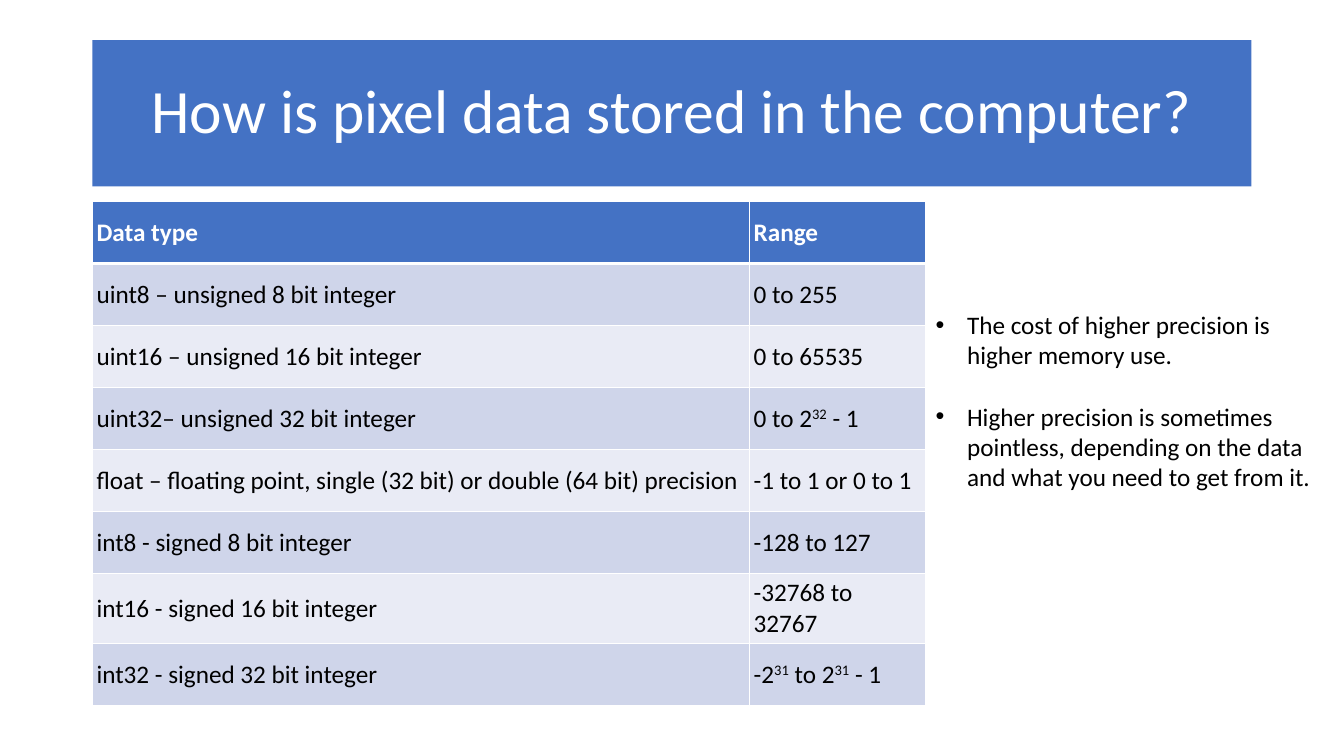
from lxml import etree
from pptx import Presentation
from pptx.dml.color import RGBColor
from pptx.enum import shapes, text
from pptx.oxml import ns
from pptx.util import Pt

TITLE = "How is pixel data stored in the computer?"
DATA_TYPES = [
    ("Data type", "Range"),
    ("uint8 – unsigned 8 bit integer", "0 to 255"),
    ("uint16 – unsigned 16 bit integer", "0 to 65535"),
    ("uint32– unsigned 32 bit integer", "0 to 2^32^ - 1"),
    ("float – floating point, single (32 bit) or double (64 bit) precision", "-1 to 1 or 0 to 1"),
    ("int8 - signed 8 bit integer", "-128 to 127"),
    ("int16 - signed 16 bit integer", "-32768 to 32767"),
    ("int32 - signed 32 bit integer", "-2^31^ to 2^31^ - 1"),
]
REMARKS = [
    "The cost of higher precision is higher memory use.",
    "Higher precision is sometimes pointless, depending on the data and what you need to get from it.",
]

BLUE = RGBColor(0x44, 0x72, 0xC4)
BAND_DARK = RGBColor(0xCF, 0xD5, 0xEA)
BAND_LIGHT = RGBColor(0xE9, 0xEB, 0xF5)
WHITE = RGBColor(0xFF, 0xFF, 0xFF)
BLACK = RGBColor(0, 0, 0)

LEFT = 66
COLUMN_WIDTHS = (469.4, 126)
ROW_HEIGHT = 44.3
CELL_FORMAT = {
    "margin_left": Pt(3), "margin_right": Pt(3),
    "margin_top": Pt(3), "margin_bottom": Pt(3),
    "vertical_anchor": text.MSO_ANCHOR.MIDDLE,
}
INDENT = Pt(22.5)


def apply(target, values):
    for name, value in values.items():
        setattr(target, name, value)


def style_font(font, size, color, bold=False):
    apply(font, {"name": "Calibri", "size": Pt(size), "bold": bold})
    font.color.rgb = color


def add_border(cell, side, width):
    line = etree.SubElement(cell._tc.get_or_add_tcPr(), ns.qn(f"a:ln{side}"), w=str(Pt(width)))
    fill = etree.SubElement(line, ns.qn("a:solidFill"))
    etree.SubElement(fill, ns.qn("a:srgbClr"), val=str(WHITE))


def add_title(slide):
    title = slide.shapes.add_shape(
        shapes.MSO_SHAPE.RECTANGLE, Pt(LEFT), Pt(28.75), Pt(828), Pt(104.4))
    title.shadow.inherit = False
    title.fill.solid()
    title.fill.fore_color.rgb = BLUE
    title.line.fill.background()
    apply(title.text_frame, {"word_wrap": True, "vertical_anchor": text.MSO_ANCHOR.MIDDLE})
    paragraph = title.text_frame.paragraphs[0]
    apply(paragraph, {"text": TITLE, "alignment": text.PP_ALIGN.CENTER, "line_spacing": 0.9})
    style_font(paragraph.runs[0].font, 44, WHITE)


def fill_cell(cell, content, row):
    header = row == 0
    apply(cell, CELL_FORMAT)
    widths = {"L": 1, "R": 1, "T": 3 if row == 1 else 1, "B": 3 if header else 1}
    for side, width in widths.items():
        add_border(cell, side, width)
    cell.fill.solid()
    cell.fill.fore_color.rgb = BLUE if header else BAND_DARK if row % 2 else BAND_LIGHT
    paragraph = cell.text_frame.paragraphs[0]
    for part, words in enumerate(content.split("^")):
        run = paragraph.add_run()
        run.text = words
        style_font(run.font, 18, WHITE if header else BLACK, header)
        if part % 2:
            run._r.get_or_add_rPr().set("baseline", "30000")


def add_data_types(slide):
    data_types = slide.shapes.add_table(
        len(DATA_TYPES), len(COLUMN_WIDTHS), Pt(LEFT), Pt(144),
        Pt(sum(COLUMN_WIDTHS)), Pt(ROW_HEIGHT * len(DATA_TYPES))).table
    for column, width in zip(data_types.columns, COLUMN_WIDTHS):
        column.width = Pt(width)
    for row, contents in enumerate(DATA_TYPES):
        data_types.rows[row].height = Pt(ROW_HEIGHT)
        for column, content in enumerate(contents):
            fill_cell(data_types.cell(row, column), content, row)


def add_remarks(slide):
    frame = slide.shapes.add_textbox(Pt(661.2), Pt(217.6), Pt(283), Pt(160)).text_frame
    frame.word_wrap = True
    for index, remark in enumerate(REMARKS):
        paragraph = frame.add_paragraph() if index else frame.paragraphs[0]
        properties = paragraph._p.get_or_add_pPr()
        apply_indent = {"marL": INDENT, "indent": -INDENT}
        for name, value in apply_indent.items():
            properties.set(name, str(value))
        etree.SubElement(properties, ns.qn("a:buFont"), typeface="Arial")
        etree.SubElement(properties, ns.qn("a:buChar"), char="•")
        if index:
            paragraph.space_before = Pt(22)
        run = paragraph.add_run()
        run.text = remark
        style_font(run.font, 18, BLACK)


def main():
    deck = Presentation()
    apply(deck, {"slide_width": Pt(960), "slide_height": Pt(540)})
    slide = deck.slides.add_slide(deck.slide_layouts[6])
    add_title(slide)
    add_data_types(slide)
    add_remarks(slide)
    deck.save("out.pptx")


if __name__ == "__main__":
    main()
